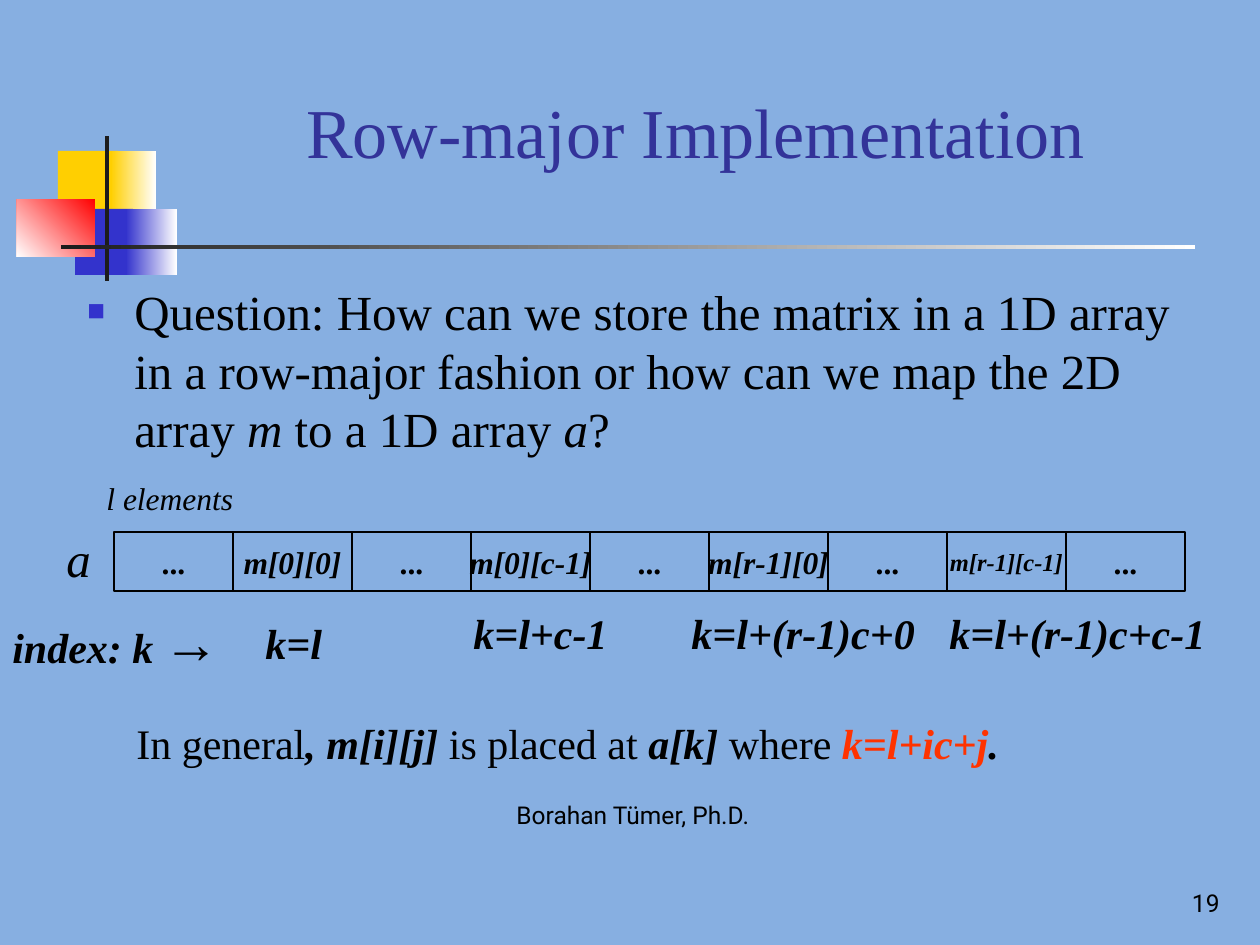
from lxml import etree
from pptx import Presentation
from pptx import util as u
from pptx.dml.color import RGBColor
from pptx.enum import shapes, text
from pptx.oxml.ns import qn

PX = 914400 / 126
SERIF, SANS = "Times New Roman", "Roboto"
LEFT, CENTER, RIGHT = text.PP_ALIGN.LEFT, text.PP_ALIGN.CENTER, text.PP_ALIGN.RIGHT
TOP, MIDDLE, BOTTOM = text.MSO_ANCHOR.TOP, text.MSO_ANCHOR.MIDDLE, text.MSO_ANCHOR.BOTTOM


def px(n):
    return u.Emu(round(n * PX))


def color(hex_code):
    return RGBColor.from_string(hex_code)


def add_rect(s, x, y, w, h):
    sp = s.shapes.add_shape(shapes.MSO_SHAPE.RECTANGLE, px(x), px(y), px(w), px(h))
    sp.shadow.inherit = False
    return sp


def write(sp, runs, size, align=LEFT, anchor=TOP, wrap=True, font=SERIF, fill="000000"):
    """Fill a shape with one paragraph; a run is (text, style letters, options)."""
    tf = sp.text_frame
    tf.word_wrap = wrap
    tf.vertical_anchor = anchor
    p = tf.paragraphs[0]
    p.alignment = align
    for words, style, *options in runs:
        options = options[0] if options else {}
        r = p.add_run()
        r.text = words
        r.font.name = font
        r.font.size = u.Pt(options.get("size", size))
        r.font.bold = "b" in style
        r.font.italic = "i" in style
        r.font.color.rgb = color(options.get("fill", fill))
    return p


def add_text(s, x, y, w, h, runs, size, **layout):
    sp = s.shapes.add_textbox(px(x), px(y), px(w), px(h))
    return write(sp, runs, size, **layout)


def add_ornament(s, x, y):
    """Overlapping squares and the crossed bars under the title."""
    parts = [
        (41, 15, 60, 65, ("FFCF01",), 0),
        (94, 15, 45, 65, ("FFFFFF", "FFCF01"), 180),
        (58, 73, 58, 66, ("3333CC",), 0),
        (109, 73, 51, 66, ("FFFFFF", "3333CC"), 180),
        (0, 63, 78, 58, ("FF0000", "FFFFFF"), 225),
        (88, 0, 4, 145, ("1C1C1C",), 0),
        (44, 109, 1134, 4, ("FFFFFF", "1C1C1C"), 180),
    ]
    for dx, dy, w, h, fills, angle in parts:
        sp = add_rect(s, x + dx, y + dy, w, h)
        sp.line.fill.background()
        if len(fills) == 1:
            sp.fill.solid()
            sp.fill.fore_color.rgb = color(fills[0])
            continue
        sp.fill.gradient()
        sp.fill.gradient_angle = angle
        for stop, position, fill in zip(sp.fill.gradient_stops, (0, 1), fills):
            stop.position = position
            stop.color.rgb = color(fill)


def add_question(s, x, y, w, h):
    runs = [
        ("Question: How can we store the matrix in a 1D array in a row-major "
         "fashion or how can we map the 2D array ", ""),
        ("m", "i"), (" to a 1D array ", ""), ("a", "i"), ("?", ""),
    ]
    p = add_text(s, x, y, w, h, runs, 28)
    pPr = p._p.get_or_add_pPr()
    pPr.set("marL", str(px(47)))
    pPr.set("indent", str(px(-47)))
    bullet = etree.SubElement(pPr, qn("a:buClr"))
    etree.SubElement(bullet, qn("a:srgbClr"), val="3333CC")
    etree.SubElement(pPr, qn("a:buSzPct"), val="60000")
    etree.SubElement(pPr, qn("a:buFont"), typeface=SERIF)
    etree.SubElement(pPr, qn("a:buChar"), char="■")


def add_array(s, x, y):
    """The 1D array with its name, prefix label and index row."""
    cell_w, cell_h = 119, 59
    entries = ["m[0][0]", "m[0][c-1]", "m[r-1][0]", "m[r-1][c-1]"]
    cells = ["..."]
    for entry in entries:
        cells += [entry, "..."]
    for i, cell in enumerate(cells):
        sp = add_rect(s, x + i * cell_w, y, cell_w, cell_h)
        sp.fill.background()
        sp.line.color.rgb = color("000000")
        sp.line.width = u.Pt(0.75)
        style = "b" if cell == "..." else "bi"
        size = 14 if cell == entries[-1] else 18
        write(sp, [(cell, style)], size, align=CENTER, anchor=MIDDLE, wrap=False)

    add_text(s, x - 60, y - 10, 54, 72, [("a", "i")], 28)
    add_text(s, x - 20, y - 59, 160, 50, [("l elements", "i")], 18)
    add_text(s, x - 114, y + 69, 242, 81,
             [("index: k ", "bi"), ("→", "bi", {"size": 32})], 24)
    indices = [
        (139, 79, 90, "k=l"),
        (347, 69, 168, "k=l+c-1"),
        (565, 69, 257, "k=l+(r-1)c+0"),
        (823, 69, 290, "k=l+(r-1)c+c-1"),
    ]
    for dx, dy, w, label in indices:
        add_text(s, x + dx, y + dy, w, 63, [(label, "bi")], 24)


def add_rule(s, x, y, w, h):
    runs = [
        ("In general", ""), (", m[i][j] ", "bi"), ("is placed at", ""),
        (" a[k] ", "bi"), ("where ", ""),
        ("k=l+ic+j", "bi", {"fill": "FF3300"}), (".", "bi"),
    ]
    add_text(s, x, y, w, h, runs, 24)


def add_footer(s):
    add_text(s, 504, 783, 398, 63, [("Borahan Tümer, Ph.D.", "")], 14,
             anchor=MIDDLE, font=SANS)
    add_text(s, 970, 861, 262, 63, [("19", "")], 14,
             align=RIGHT, anchor=BOTTOM, font=SANS)


def main():
    prs = Presentation()
    prs.slide_width, prs.slide_height = px(1260), px(945)
    s = prs.slides.add_slide(prs.slide_layouts[6])
    s.background.fill.solid()
    s.background.fill.fore_color.rgb = color("87AFE1")
    add_ornament(s, 17, 136)
    add_text(s, 159, 30, 1073, 202, [("Row-major Implementation", "")], 40,
             align=CENTER, anchor=MIDDLE, fill="333399")
    add_question(s, 75, 275, 1134, 193)
    add_array(s, 114, 532)
    add_rule(s, 124, 711, 900, 63)
    add_footer(s)
    prs.save("out.pptx")


if __name__ == "__main__":
    main()
